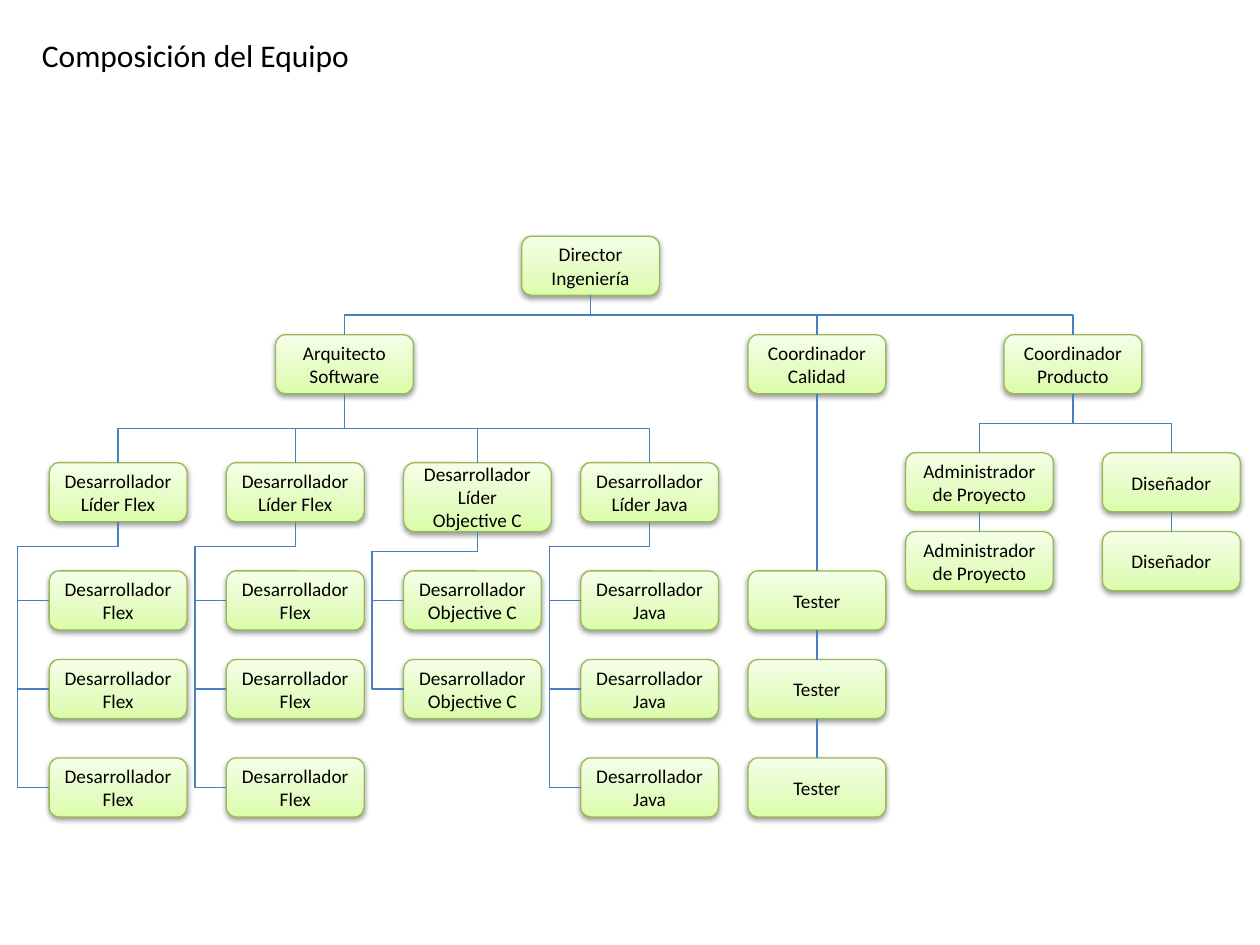
from lxml.etree import SubElement
from pptx import Presentation
from pptx.dml.color import RGBColor
from pptx.enum.shapes import MSO_CONNECTOR, MSO_SHAPE
from pptx.enum.text import MSO_ANCHOR, PP_ALIGN
from pptx.oxml.ns import qn
from pptx.util import Pt

# Content: key -> (text, left, top[, width, height])
TITLE = "Composición del Equipo"
W, H, WIDE = 78.75, 33.75, 84.38
STAFF = {
    "director": ("Director Ingeniería", 298.13, 135),
    "software": ("Arquitecto\nSoftware", 157.5, 191.25),
    "product": ("Coordinador\nProducto", 573.75, 191.25),
    "quality": ("Coordinador\nCalidad", 427.5, 191.25),
    "admin 1": ("Administrador de Proyecto", 517.5, 258.75, WIDE, H),
    "admin 2": ("Administrador de Proyecto", 517.5, 303.75, WIDE, H),
    "designer 1": ("Diseñador", 630, 258.75),
    "designer 2": ("Diseñador", 630, 303.75),
}
REPORTS = [
    ("director", "software"), ("director", "quality"), ("director", "product"),
    ("product", "admin 1"), ("product", "designer 1"),
    ("admin 1", "admin 2"), ("designer 1", "designer 2"),
]
# Development teams: technology, leader size, members
TEAMS = [
    ("Flex", (W, H), ["Desarrollador Flex"] * 3),
    ("Flex", (W, H), ["Desarrollador Flex"] * 3),
    ("Objective C", (WIDE, 39.38),
     ["Desarrollador Objective C", "Desarrollador\nObjective C"]),
    ("Java", (W, H), ["Desarrollador Java"] + ["Desarrollador\nJava"] * 2),
]
TEAM_LEFT, TEAM_STEP, LEADER_TOP = 28.13, 101.25, 264.38
MEMBER_TOPS = [326.25, 376.88, 433.13]
GUTTER = 18

COLORS = {"text": "000000", "border": "98B955", "link": "4B7EBC", "shadow": "000000"}
GRADIENT = [(0, "DAFDA7"), (35, "E4FCC2"), (100, "F5FFE7")]
SHADOW = {"blurRad": Pt(3.1), "dist": Pt(1.6), "dir": 90 * 60000,
          "algn": "ctr", "rotWithShape": 0}


def rgb(name):
    return RGBColor.from_string(COLORS[name])


def add_color(parent, value):
    return SubElement(parent, qn("a:srgbClr"), val=value)


def write(tf, text, size, align):
    tf.text = text
    for p in tf.paragraphs:
        p.alignment = align
        for r in p.runs:
            for name, value in {"name": "Calibri", "size": Pt(size)}.items():
                setattr(r.font, name, value)
            r.font.color.rgb = rgb("text")


def add_box(s, text, left, top, width=W, height=H):
    sp = s.shapes.add_shape(MSO_SHAPE.ROUNDED_RECTANGLE,
                            Pt(left), Pt(top), Pt(width), Pt(height))
    sp.fill.gradient()
    sp.fill.gradient_angle = 90
    stops = sp._element.spPr.find(".//" + qn("a:gsLst"))
    for stop in list(stops):
        stops.remove(stop)
    for position, value in GRADIENT:
        add_color(SubElement(stops, qn("a:gs"), pos=str(position * 1000)), value)
    sp.line.color.rgb = rgb("border")
    sp.line.width = Pt(0.75)
    sp.shadow.inherit = False
    shadow = SubElement(sp._element.spPr.find(qn("a:effectLst")), qn("a:outerShdw"),
                        {k: str(v) for k, v in SHADOW.items()})
    SubElement(add_color(shadow, COLORS["shadow"]), qn("a:alpha"), val="38000")
    sp.text_frame.word_wrap = True
    sp.text_frame.vertical_anchor = MSO_ANCHOR.MIDDLE
    write(sp.text_frame, text, 11, PP_ALIGN.CENTER)


def add_link(s, start, end, bus=None):
    """Elbow leaving downwards; with bus it enters the end from the left gutter."""
    (x1, y1), (x2, y2) = start, end
    dx, dy = x2 - x1, y2 - y1
    cx, cy = (x1 + x2) / 2, (y1 + y2) / 2
    half = dy / 2 if dx <= 0 else -dy / 2
    c = s.shapes.add_connector(
        MSO_CONNECTOR.ELBOW, Pt(cx - half), Pt(cy - abs(dx) / 2),
        Pt(cx + half), Pt(cy + abs(dx) / 2))
    spPr = c._element.spPr
    spPr.find(qn("a:xfrm")).set("rot", str((90 if dx <= 0 else 270) * 60000))
    if bus is not None:
        geom = spPr.find(qn("a:prstGeom"))
        geom.set("prst", "bentConnector4")
        guides = geom.find(qn("a:avLst"))
        bends = {"adj1": (bus - y1) / dy, "adj2": 1 + GUTTER / abs(dx)}
        for name, value in bends.items():
            SubElement(guides, qn("a:gd"), name=name, fmla=f"val {round(value * 100000)}")
    c.line.color.rgb = rgb("link")
    c.line.width = Pt(0.75)
    SubElement(spPr, qn("a:effectLst"))


# Lay out the teams and the testers
boxes, links, drops = dict(STAFF), list(REPORTS), []
for i, (tech, size, members) in enumerate(TEAMS):
    left, leader = TEAM_LEFT + i * TEAM_STEP, f"leader {i}"
    boxes[leader] = (f"Desarrollador Líder {tech}", left, LEADER_TOP, *size)
    links.append(("software", leader))
    for j, (text, top) in enumerate(zip(members, MEMBER_TOPS)):
        boxes[f"member {i}.{j}"] = (text, left, top)
        drops.append((leader, f"member {i}.{j}"))
above = "quality"
for j, top in enumerate(MEMBER_TOPS):
    boxes[f"tester {j}"] = ("Tester", STAFF["quality"][1], top)
    links.append((above, f"tester {j}"))
    above = f"tester {j}"


def frame(key):
    left, top, *size = boxes[key][1:]
    width, height = size or (W, H)
    return left, top, width, height


def bottom(key):
    left, top, width, height = frame(key)
    return left + width / 2, top + height


prs = Presentation()
prs.slide_width, prs.slide_height = Pt(720), Pt(540)
s = prs.slides.add_slide(prs.slide_layouts[6])

# Title
tb = s.shapes.add_textbox(Pt(16.9), Pt(16.9), Pt(193), Pt(29))
tb.text_frame.word_wrap = False
write(tb.text_frame, TITLE, 18, PP_ALIGN.LEFT)

# Boxes
for box in boxes.values():
    add_box(s, *box)

# Links down the hierarchy, then from leaders to members
for boss, report in links:
    left, top, width, _ = frame(report)
    add_link(s, bottom(boss), (left + width / 2, top))
for leader, member in drops:
    left, top, _, height = frame(member)
    start = bottom(leader)
    add_link(s, start, (left, top + height / 2), (start[1] + MEMBER_TOPS[0]) / 2)

prs.save("out.pptx")
